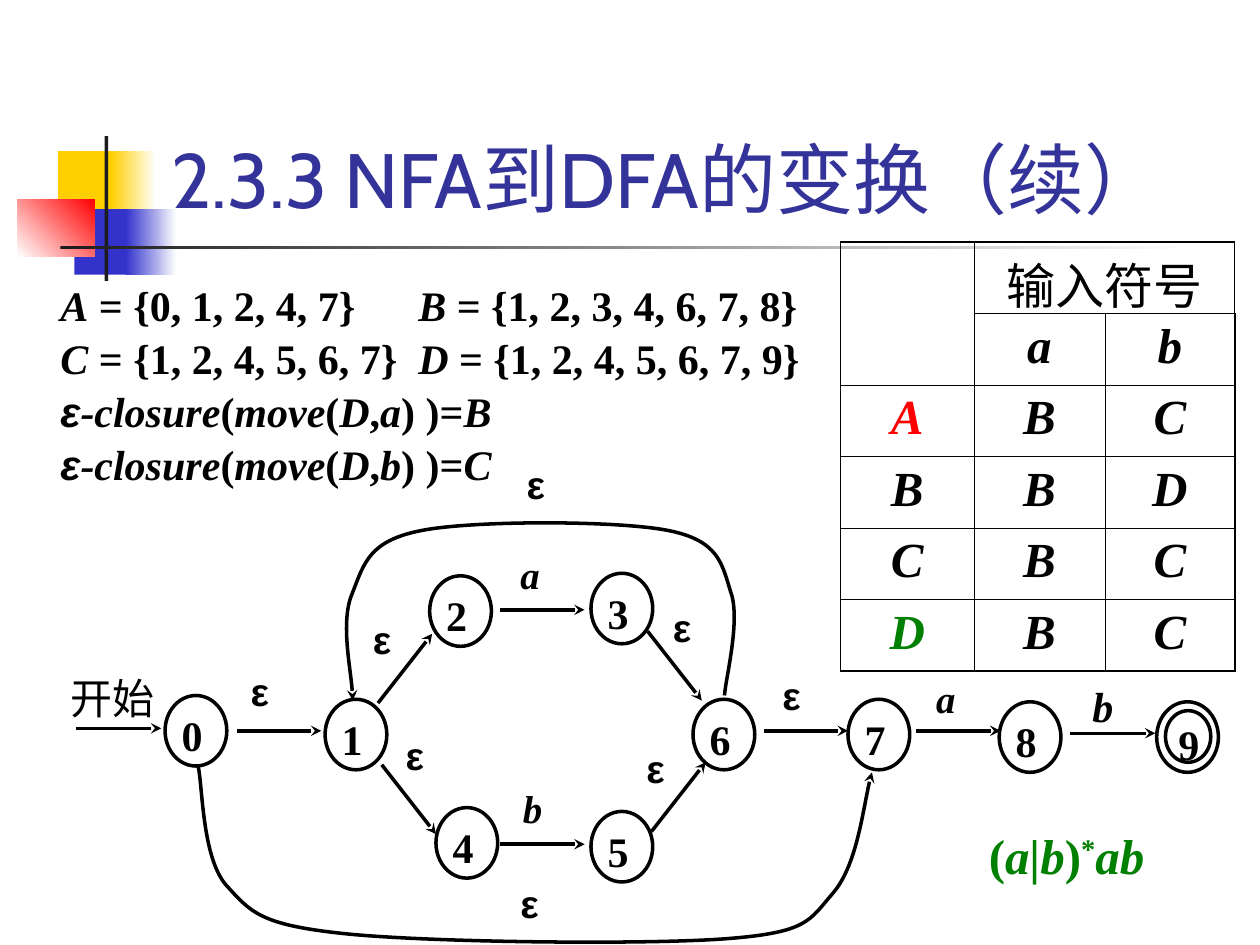
from lxml.etree import SubElement
from pptx import Presentation
from pptx.dml.color import RGBColor
from pptx.enum.shapes import MSO_CONNECTOR as LINK, MSO_SHAPE as SHAPE
from pptx.enum.text import MSO_ANCHOR as ANCHOR, PP_ALIGN as ALIGN
from pptx.oxml.ns import qn
from pptx.util import Inches, Pt

BLACK = RGBColor(0x00, 0x00, 0x00)
WHITE = RGBColor(0xFF, 0xFF, 0xFF)
DARK = RGBColor(0x1C, 0x1C, 0x1C)
GOLD = RGBColor(0xFF, 0xCF, 0x01)
BLUE = RGBColor(0x33, 0x33, 0xCC)
NAVY = RGBColor(0x33, 0x33, 0x99)
RED = RGBColor(0xFF, 0x00, 0x00)
GREEN = RGBColor(0x00, 0x80, 0x00)
SERIF = "Times New Roman"


def write(frame, text, size=24, font=SERIF, color=BLACK, bold=True, align=ALIGN.LEFT,
          before=0, spacing=1.0, inset=(0.06, 0.03, 0.06, 0.03), anchor=ANCHOR.TOP, tab=None):
    frame.word_wrap = True
    frame.vertical_anchor = anchor
    frame.margin_left, frame.margin_top, frame.margin_right, frame.margin_bottom = map(Inches, inset)
    for row, line in enumerate(text.split("\n")):
        para = frame.add_paragraph() if row else frame.paragraphs[0]
        para.alignment = align
        para.space_before = Pt(before)
        para.line_spacing = spacing
        if tab:
            tabs = SubElement(para._p.get_or_add_pPr(), qn("a:tabLst"))
            SubElement(tabs, qn("a:tab"), pos=str(Inches(tab)), algn="l")
        for order, part in enumerate(line.split("_")):
            if not part:
                continue
            run = para.add_run()
            run.text = part
            run.font.size = Pt(size)
            run.font.name = "Arial" if part == "ε" else font
            run.font.bold = bold
            run.font.italic = order % 2 == 1
            run.font.color.rgb = color
            if part == "*":
                run._r.get_or_add_rPr().set("baseline", "30000")


def arrow(item):
    item.line.color.rgb = BLACK
    item.line.width = Pt(2)
    props = item._element.spPr
    SubElement(props.find(qn("a:ln")), qn("a:tailEnd"), type="stealth")
    SubElement(props, qn("a:effectLst"))


deck = Presentation()
deck.slide_width, deck.slide_height = Inches(10), Inches(7.5)
slide = deck.slides.add_slide(deck.slide_layouts[6])
shapes = slide.shapes

for place, first, last, angle in [
    ((0.46, 1.2, 0.48, 0.52), GOLD, None, 0),
    ((0.88, 1.2, 0.36, 0.52), GOLD, WHITE, 0),
    ((0.59, 1.66, 0.46, 0.52), BLUE, None, 0),
    ((1, 1.66, 0.4, 0.52), BLUE, WHITE, 0),
    ((0.14, 1.58, 0.61, 0.46), WHITE, RED, 45),
    ((0.83, 1.08, 0.03, 1.15), DARK, None, 0),
    ((0.48, 1.95, 9, 0.03), DARK, WHITE, 0),
]:
    block = shapes.add_shape(SHAPE.RECTANGLE, *map(Inches, place))
    block.shadow.inherit = False
    block.line.fill.background()
    if last is None:
        block.fill.solid()
        block.fill.fore_color.rgb = first
    else:
        block.fill.gradient()
        block.fill.gradient_angle = angle
        for stop, color in zip(block.fill.gradient_stops, (first, last)):
            stop.color.rgb = color

title = shapes.add_textbox(Inches(1.26), Inches(0.23), Inches(8.52), Inches(1.6))
write(title.text_frame, "2.3.3 NFA到DFA的变换（续）", size=44, font="Cabin", color=NAVY,
      bold=False, inset=(0.1, 0.05, 0.1, 0.05), anchor=ANCHOR.BOTTOM)

moves = [["", "输入符号", ""], ["", "a", "b"], ["A", "B", "C"],
         ["B", "B", "D"], ["C", "B", "C"], ["D", "B", "C"]]
table = shapes.add_table(6, 3, Inches(6.67), Inches(1.92), Inches(3.13), Inches(3.26)).table
table.first_row = table.horz_banding = False
for col, width in zip(table.columns, (1.06, 1.04, 1.03)):
    col.width = Inches(width)
for row, height in zip(table.rows, [0.53] * 2 + [0.55] * 4):
    row.height = Inches(height)
table.cell(0, 0).merge(table.cell(1, 0))
table.cell(0, 1).merge(table.cell(0, 2))
for r, line in enumerate(moves):
    for c, word in enumerate(line):
        cell = table.cell(r, c)
        props = cell._tc.get_or_add_tcPr()
        for side, outer in (("L", c == 0), ("R", c == 2), ("T", r == 0), ("B", r == 5)):
            edge = SubElement(props, qn(f"a:ln{side}"), w=str(Pt(1.08 if outer else 0.45)))
            paint = SubElement(edge, qn("a:solidFill"))
            SubElement(paint, qn("a:srgbClr"), val=str(BLACK))
        cell.fill.background()
        if word:
            head = r == 0
            color = {(2, 0): RED, (5, 0): GREEN}.get((r, c), BLACK)
            write(cell.text_frame, word if head else f"_{word}_", size=28,
                  font="Cabin" if head else SERIF, color=color, bold=not head,
                  align=ALIGN.CENTER, before=7)
            cell.margin_left = cell.margin_right = Inches(0.06)
            cell.margin_top = cell.margin_bottom = Inches(0.05)
            cell.vertical_anchor = ANCHOR.TOP

big, small = (0.49, 0.56), (0.36, 0.41)
pad, tight = (0.06, 0.03, 0.02, 0.05), (0.05, 0, 0.01, 0)
for name, x, y, size, inset in [
    ("0", 1.31, 5.52, big, pad), ("1", 2.58, 5.55, big, pad),
    ("2", 3.41, 4.57, big, pad), ("3", 4.69, 4.55, big, pad),
    ("4", 3.46, 6.41, big, pad), ("5", 4.69, 6.44, big, pad),
    ("6", 5.5, 5.55, big, pad), ("7", 6.73, 5.55, big, pad),
    ("8", 7.93, 5.57, big, pad), ("", 9.18, 5.57, big, pad),
    ("9", 9.25, 5.64, small, tight),
]:
    state = shapes.add_shape(SHAPE.OVAL, Inches(x), Inches(y), *map(Inches, size))
    state.shadow.inherit = False
    state.fill.background()
    state.line.color.rgb = BLACK
    state.line.width = Pt(2)
    if name:
        write(state.text_frame, name, inset=inset)

for ends in [
    (0.6, 5.78, 1.28, 5.78), (1.88, 5.8, 2.55, 5.8), (6.06, 5.8, 6.73, 5.8),
    (7.27, 5.8, 7.94, 5.8), (8.49, 5.82, 9.17, 5.82), (3.97, 4.84, 4.64, 4.84),
    (3.97, 6.7, 4.64, 6.7), (3, 5.58, 3.43, 5.03), (5.14, 5.01, 5.57, 5.56),
    (5.17, 6.6, 5.6, 6.05), (3.03, 6.07, 3.46, 6.62),
]:
    arrow(shapes.add_connector(LINK.STRAIGHT, *map(Inches, ends)))

for start, *points in [
    [(1.57, 6.07), (1.61, 6.23), (1.6, 6.79), (1.79, 7.02), (1.99, 7.24), (2.06, 7.34),
     (2.73, 7.41), (3.39, 7.48), (5.12, 7.5), (5.77, 7.45), (6.41, 7.4), (6.42, 7.31),
     (6.61, 7.09), (6.8, 6.87), (6.86, 6.33), (6.92, 6.13)],
    [(5.75, 5.52), (5.76, 5.38), (5.88, 4.92), (5.8, 4.7), (5.73, 4.48), (5.71, 4.29),
     (5.3, 4.21), (4.89, 4.13), (3.76, 4.13), (3.35, 4.21), (2.93, 4.29), (2.89, 4.47),
     (2.8, 4.7), (2.7, 4.92), (2.8, 5.38), (2.8, 5.56)],
]:
    pen = shapes.build_freeform(*map(Inches, start))
    pen.add_line_segments([tuple(map(Inches, point)) for point in points], close=False)
    curve = pen.convert_to_shape()
    curve.fill.background()
    track = next(curve._element.iter(qn("a:path")))
    steps = track.findall(qn("a:lnTo"))
    for n in range(0, len(steps), 3):
        bend = SubElement(track, qn("a:cubicBezTo"))
        for step in steps[n:n + 3]:
            bend.append(step[0])
            track.remove(step)
    arrow(curve)

for text, x, y in [
    ("ε", 1.93, 5.31), ("ε", 2.9, 4.9), ("ε", 3.16, 5.82), ("ε", 5.28, 4.8),
    ("ε", 5.07, 5.92), ("ε", 4.07, 6.99), ("ε", 4.12, 3.67), ("ε", 6.15, 5.34),
    ("_a_", 4.07, 4.38), ("_b_", 4.09, 6.24), ("_a_", 7.37, 5.37),
]:
    label = shapes.add_textbox(Inches(x), Inches(y), Inches(0.43), Inches(0.45))
    write(label.text_frame, text, size=22.2, spacing=0.9)

label = shapes.add_textbox(Inches(8.61), Inches(5.37), Inches(0.45), Inches(0.47))
write(label.text_frame, "_b_")
label = shapes.add_textbox(Inches(0.5), Inches(5.31), Inches(0.85), Inches(0.53))
write(label.text_frame, "开始", bold=False)

rule = shapes.add_textbox(Inches(7.75), Inches(6.5), Inches(2.17), Inches(0.57))
write(rule.text_frame, "(_a|b_)__*_ab_", size=28, color=GREEN, before=17.5,
      inset=(0.1, 0.05, 0.1, 0.05))

sets = shapes.add_textbox(Inches(0.42), Inches(2.17), Inches(6.1), Inches(2.17))
write(sets.text_frame,
      "_A_ = {0, 1, 2, 4, 7}\t_B_ = {1, 2, 3, 4, 6, 7, 8}\n"
      "_C_ = {1, 2, 4, 5, 6, 7}\t_D_ = {1, 2, 4, 5, 6, 7, 9}\n"
      "_ε__-closure_(_move_(_D_,_a_) )=_B_\n"
      "_ε__-closure_(_move_(_D_,_b_) )=_C_",
      spacing=1.05, tab=2.84)

deck.save("out.pptx")
